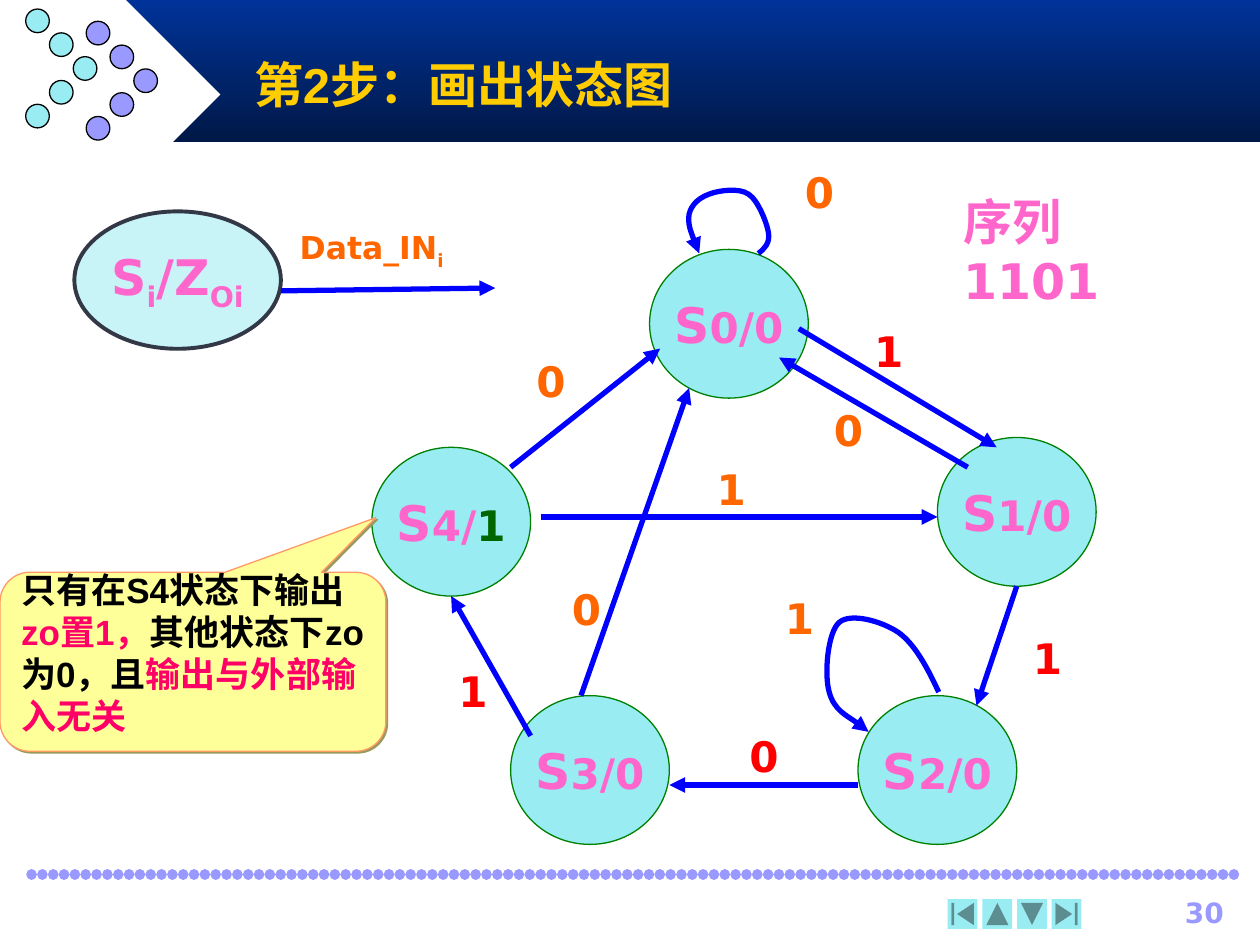
from lxml import etree
from pptx import Presentation
from pptx.dml.color import RGBColor
from pptx.enum import shapes, text
from pptx.oxml.ns import qn
from pptx.util import Pt

SHAPE = shapes.MSO_SHAPE
ALIGN = text.PP_ALIGN
ANCHOR = text.MSO_ANCHOR
AQUA, LILAC, BLUE = "98ECF2", "9999FF", "0000FF"
PINK, ORANGE, RED, ROSE = "FF66CC", "FF6600", "FF0000", "FF0066"


def rgb(value):
    return RGBColor.from_string(value)


def add_xml(parent, tag, **attributes):
    return etree.SubElement(parent, qn(f"a:{tag}"), **attributes)


class Board:
    """Draws on one slide; lengths are points, runs are (text, size, colour[, baseline])."""

    font = "DejaVu Sans"

    def __init__(self, slide):
        self.s = slide

    def add_runs(self, tf, runs, align=ALIGN.LEFT, anchor=ANCHOR.TOP, wrap=True, font=None):
        tf.word_wrap = wrap
        tf.auto_size = text.MSO_AUTO_SIZE.NONE
        tf.vertical_anchor = anchor
        p = tf.paragraphs[0]
        p.alignment = align
        for words, size, color, *baseline in runs:
            r = p.add_run()
            r.text = words
            r.font.name = font or self.font
            r.font.size = Pt(size)
            r.font.bold = True
            r.font.color.rgb = rgb(color)
            if baseline:
                r._r.get_or_add_rPr().set("baseline", str(baseline[0] * 1000))

    def shape(self, kind, x, y, w, h, fill, line=None, weight=0.75):
        sp = self.s.shapes.add_shape(kind, Pt(x), Pt(y), Pt(w), Pt(h))
        sp.shadow.inherit = False
        sp.fill.solid()
        sp.fill.fore_color.rgb = rgb(fill)
        if line:
            sp.line.color.rgb = rgb(line)
            sp.line.width = Pt(weight)
        else:
            sp.line.fill.background()
        return sp

    def label(self, x, y, w, h, runs, **style):
        box = self.s.shapes.add_textbox(Pt(x), Pt(y), Pt(w), Pt(h))
        self.add_runs(box.text_frame, runs, **style)

    def state(self, x, y, runs):
        sp = self.shape(SHAPE.OVAL, x, y, 90.7, 85, AQUA, "008000")
        self.add_runs(sp.text_frame, [("S", 28, PINK)] + runs, ALIGN.CENTER, ANCHOR.MIDDLE, False)

    def stroke(self, sp, color=BLUE, weight=3):
        """Styles a line and returns its a:ln element."""
        sp.line.color.rgb = rgb(color)
        sp.line.width = Pt(weight)
        return sp._element.spPr.find(qn("a:ln"))

    def line(self, x1, y1, x2, y2, **style):
        """Returns the a:ln element of a new straight connector."""
        sp = self.s.shapes.add_connector(
            shapes.MSO_CONNECTOR.STRAIGHT, Pt(x1), Pt(y1), Pt(x2), Pt(y2))
        ln = self.stroke(sp, **style)
        add_xml(sp._element.spPr, "effectLst")
        return ln

    def arrow(self, *ends):
        add_xml(self.line(*ends), "tailEnd", type="triangle")

    def loop(self, start, *points):
        """Draws an arrow along cubic curves, three points to each curve."""
        builder = self.s.shapes.build_freeform(Pt(start[0]), Pt(start[1]))
        builder.add_line_segments([(Pt(x), Pt(y)) for x, y in points], close=False)
        sp = builder.convert_to_shape()
        sp.shadow.inherit = False
        sp.fill.background()
        add_xml(self.stroke(sp), "tailEnd", type="triangle")
        outline = next(sp._element.iter(qn("a:lnTo"))).getparent()
        segments = outline.findall(qn("a:lnTo"))
        for i in range(0, len(segments), 3):
            curve = add_xml(outline, "cubicBezTo")
            for segment in segments[i:i + 3]:
                curve.append(segment[0])
                outline.remove(segment)

    def title(self, x, y, w, h, runs):
        """Places the title in front of everything drawn so far."""
        sp = self.s.shapes.title
        sp.left, sp.top, sp.width, sp.height = Pt(x), Pt(y), Pt(w), Pt(h)
        self.add_runs(sp.text_frame, runs, anchor=ANCHOR.MIDDLE, font="Arial")
        sp.element.getparent().append(sp.element)


def draw_frame(b):
    band = b.shape(SHAPE.RECTANGLE, 72, 0, 648, 81, "003399")
    band.fill.gradient()
    band.fill.gradient_angle = 270
    for stop, color in zip(band.fill.gradient_stops, ("003399", "001847")):
        stop.color.rgb = rgb(color)
    b.shape(SHAPE.DIAMOND, 18, 0, 108, 108, "FFFFFF")
    for x, y, color in ((49.3, 12.2, LILAC), (14.7, 5.2, AQUA)):
        for i in range(5):
            b.shape(SHAPE.OVAL, x + 13.6 * min(i, 4 - i), y + 13.6 * i, 13.5, 13.5,
                    color, "000000")
    rule = b.line(18, 499.7, 708, 499.7, color=LILAC, weight=6)
    rule.set("cap", "rnd")
    add_xml(add_xml(rule, "custDash"), "ds", d="100000", sp="3000")
    buttons = ((SHAPE.ACTION_BUTTON_BEGINNING, 0), (SHAPE.ACTION_BUTTON_BACK_OR_PREVIOUS, 90),
               (SHAPE.ACTION_BUTTON_FORWARD_OR_NEXT, 90), (SHAPE.ACTION_BUTTON_END, 0))
    for i, (kind, turn) in enumerate(buttons):
        b.shape(kind, 541.6 + 19.8 * i, 513.8, 17, 17, AQUA).rotation = turn
    b.label(638, 508.3, 68.4, 24, [("30", 16, LILAC)], align=ALIGN.RIGHT)


def draw_states(b):
    for x, y, name in ((371.2, 142.5, "0/0"), (535.7, 250, "1/0"),
                       (490.3, 397.5, "2/0"), (291.8, 397.5, "3/0")):
        b.state(x, y, [(name, 24, PINK)])
    b.state(212.5, 255.6, [("4/", 24, PINK), ("1", 24, "006600")])


def draw_transitions(b):
    for ends in ((456.5, 187.8, 569.5, 255.6), (581, 335, 558, 403.2),
                 (490.3, 448.6, 382.5, 448.6), (303.2, 420.5, 257.8, 340.6),
                 (291.8, 267, 377.2, 199.2), (309, 295.4, 535.7, 295.4),
                 (553, 267, 445.2, 204.3), (332, 397.5, 393.8, 221.8)):
        b.arrow(*ends)
    b.loop((536.4, 395.5), (530, 381.6), (522.7, 368), (513.4, 361.4),
           (504, 355), (486, 349.9), (479.5, 355.7), (473, 361.4), (470.9, 385),
           (473.8, 395.3), (476.6, 406), (493.2, 414.7), (496.4, 418.2))
    b.loop((433.4, 144.8), (437, 142), (440, 139), (439.2, 133.2),
           (438.5, 128.2), (433.4, 114.5), (427.7, 110.9), (422.6, 107.3),
           (411, 108.7), (405.4, 110.9), (399.6, 113), (395.3, 116.6),
           (393.8, 122.4), (393, 128.2), (396, 136), (399.6, 144.8))
    for x, y, bit, color in (
            (492.5, 182.2, "1", RED), (583.2, 357.8, "1", RED), (421.2, 414, "0", RED),
            (254.9, 376.6, "1", RED), (299.5, 199.4, "0", ORANGE), (402.5, 261.4, "1", ORANGE),
            (469.4, 227.5, "0", ORANGE), (441.4, 334.8, "1", ORANGE),
            (319.7, 329.8, "0", ORANGE), (452.9, 91.4, "0", ORANGE)):
        b.label(x, y, 28, 36, [(bit, 24, color)], wrap=False)


def draw_legend(b):
    key = b.shape(SHAPE.OVAL, 42.5, 120.8, 118, 78.5, AQUA, "323846", 2.25)
    add_xml(key._element.spPr.find(qn("a:solidFill"))[0], "alpha", val="53000")
    b.add_runs(key.text_frame, [("S", 28, PINK), ("i", 28, PINK, -25),
                                ("/Z", 28, PINK), ("Oi", 28, PINK, -25)],
               ALIGN.CENTER, ANCHOR.MIDDLE, False)
    b.arrow(160.5, 166.2, 283, 164.6)
    b.label(164.2, 126.7, 152, 31.7, [("Data_IN", 18, ORANGE), ("i", 18, ORANGE, -25)])
    b.label(543.6, 105.8, 141, 41, [("序列1101", 28, PINK)])


def draw_callout(b):
    sp = b.shape(SHAPE.ROUNDED_RECTANGULAR_CALLOUT, 0, 327, 220.5, 102.3, "FFFF99", "FF9966")
    for i, value in enumerate((0.474, -0.805, 0.167)):
        sp.adjustments[i] = value
    effects = sp._element.spPr.find(qn("a:effectLst"))
    shadow = add_xml(effects, "outerShdw", dist=str(Pt(1.4)), dir="2700000")
    add_xml(shadow, "srgbClr", val="99995C")
    b.add_runs(sp.text_frame, [("只有在S4状态下输出", 20, "000000"), ("zo置1，", 20, ROSE),
                               ("其他状态下zo为0，且", 20, "000000"),
                               ("输出与外部输入无关", 20, ROSE)],
               anchor=ANCHOR.BOTTOM, font="Arial")


def main():
    prs = Presentation()
    prs.slide_width, prs.slide_height = Pt(720), Pt(540)
    b = Board(prs.slides.add_slide(prs.slide_layouts[5]))
    draw_frame(b)
    draw_states(b)
    draw_transitions(b)
    draw_legend(b)
    b.title(138, 24, 540, 48, [("第2步：画出状态图", 28, "FFCC00")])
    draw_callout(b)
    prs.save("out.pptx")


if __name__ == "__main__":
    main()
